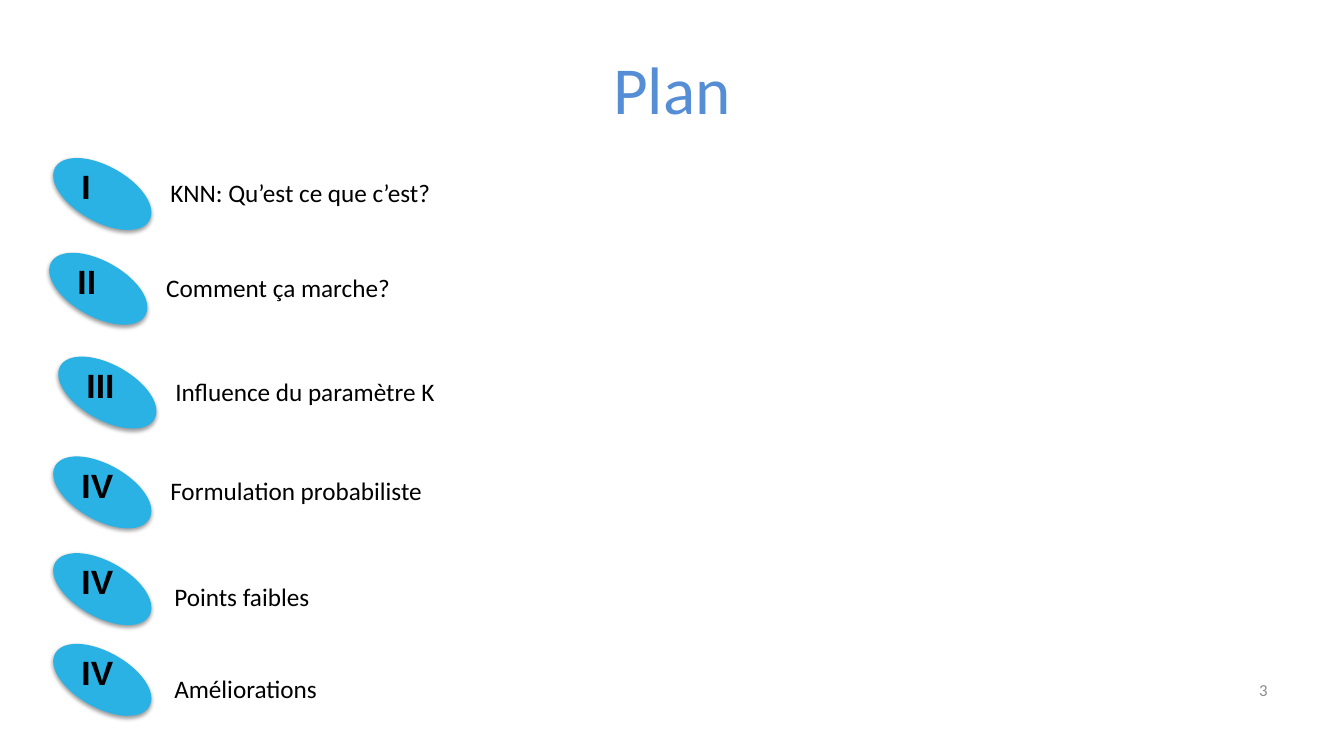
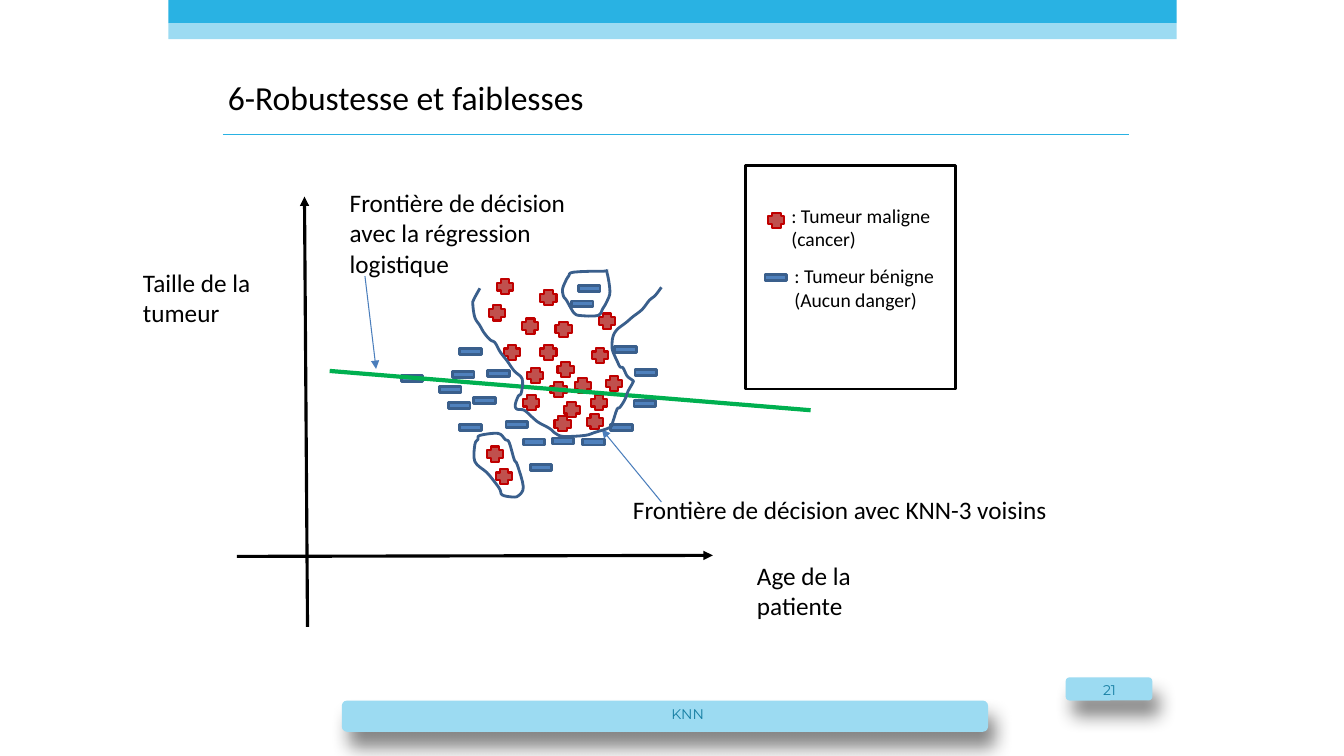
from dataclasses import dataclass

import pptx
import pptx.dml.color
import pptx.enum.shapes
import pptx.enum.text
import pptx.oxml.ns
import pptx.shapes.autoshape
import pptx.shapes.base
import pptx.slide
import pptx.util
from lxml import etree

Inches = pptx.util.Inches
Pt = pptx.util.Pt
Kind = pptx.enum.shapes.MSO_SHAPE
Align = pptx.enum.text.PP_ALIGN
Anchor = pptx.enum.text.MSO_ANCHOR
qn = pptx.oxml.ns.qn
Point = tuple[float, float]
Box = tuple[float, float, float, float]

COLORS = {
    "black": "000000", "sky": "29B2E3", "pale": "9CDBF2", "teal": "157EA3",
    "grey": "8C8C8C", "title": "558ED5", "blue": "4F81BD", "navy": "3A5F8C",
    "arrow": "4B7EBC", "red": "C0504D", "crimson": "C00000", "green": "00B050",
}
FONTS = {
    "body": {"name": "Calibri", "size": Pt(18)},
    "key": {"name": "Calibri", "size": Pt(14)},
    "page": {"name": "Calibri", "size": Pt(12)},
    "plan": {"name": "Calibri", "size": Pt(48)},
    "head": {"name": "Calibri", "size": Pt(24)},
    "badge": {"name": "Arial", "size": Pt(24), "bold": True},
    "foot": {"name": "Montserrat", "size": Pt(10)},
}


@dataclass
class Shade:
    alpha: int
    blur: float
    dist: float
    angle: int


@dataclass
class Item:
    number: str
    label: str
    left: float
    top: float
    shift: Point = (1.09, 0.04)


@dataclass
class Mark:
    kind: Kind
    width: float
    height: float
    fill: str
    edge: str
    weight: float


@dataclass
class Line:
    start: Point
    end: Point
    color: str
    weight: float
    arrow: bool = True


@dataclass
class Label:
    text: str
    box: Box
    font: str = "body"


SOFT = Shade(38, 3.1, 1.6, 90)
DEEP = Shade(48, 13, 12, 67)
BENIGN = Mark(Kind.MATH_MINUS, 0.29, 0.25, "blue", "navy", 2)
MALIGN = Mark(Kind.CROSS, 0.16, 0.15, "red", "crimson", 1.5)

ITEMS = [
    Item("I", "KNN: Qu’est ce que c’est?", 0.5, 1.67),
    Item("II", "Comment ça marche?", 0.46, 2.61),
    Item("III", "Influence du paramètre K", 0.55, 3.64),
    Item("IV", "Formulation probabiliste", 0.5, 4.63),
    Item("IV", "Points faibles", 0.5, 5.59, (1.13, 0.13)),
    Item("IV", "Améliorations", 0.5, 6.49, (1.13, 0.14)),
]
MINUSES = [
    (6.25, 3.88), (4.52, 3.36), (3.94, 3.63), (6.26, 3.57), (4.52, 4.12),
    (4.98, 4.09), (6.06, 3.34), (4.45, 3.59), (7.55, 2.63), (5.44, 4.25),
    (6.02, 4.12), (5.74, 4.26), (4.32, 3.74), (4.41, 3.9), (5.22, 4.51),
    (4.66, 3.85), (5.15, 4.26), (4.8, 3.58), (5.63, 2.89), (5.7, 2.74),
]
PLUSES = [
    (5.36, 3.42), (5.46, 3.79), (5.94, 3.11), (4.85, 3.03), (5.36, 2.88),
    (5.18, 3.16), (7.62, 2.11), (5.51, 3.19), (4.93, 2.77), (5.53, 3.59),
    (5.7, 3.75), (5.23, 3.65), (5.19, 3.92), (5.59, 3.99), (5.87, 3.45),
    (5.86, 3.92), (6.01, 3.73), (5, 3.42), (5.5, 4.13), (5.82, 4.11),
    (4.83, 4.43), (4.92, 4.65),
]
LINES = [
    Line((2.21, 1.33), (11.2, 1.33), "sky", 0.75, False),
    Line((3.05, 6.22), (3.02, 1.95), "black", 2.25),
    Line((2.35, 5.52), (7.07, 5.51), "black", 2.25),
    Line((3.27, 3.68), (8.04, 4.07), "green", 3, False),
    Line((3.62, 2.74), (3.73, 3.66), "arrow", 0.75),
    Line((6.56, 4.98), (5.97, 4.26), "arrow", 0.75),
]
LABELS = [
    Label("Age de la patiente", (7.41, 5.51, 1.56, 0.71)),
    Label("Taille de la tumeur", (1.32, 2.6, 1.56, 0.71)),
    Label(": Tumeur maligne (cancer)", (7.75, 1.97, 1.72, 0.57), "key"),
    Label(": Tumeur bénigne (Aucun danger)", (7.78, 2.57, 1.72, 0.57), "key"),
    Label("Frontière de décision avec la régression logistique",
          (3.37, 1.81, 2.58, 1.01)),
    Label("Frontière de décision avec KNN-3 voisins", (6.18, 4.86, 4.6, 0.4)),
]
BORDER = [
    (4.76, 2.86), (4.7, 2.97), (4.69, 3.02), (4.71, 3.15), (4.76, 3.23),
    (4.8, 3.3), (4.86, 3.37), (4.91, 3.4), (4.96, 3.49), (5.03, 3.58),
    (5.1, 3.68), (5.18, 3.76), (5.17, 3.9), (5.14, 3.93), (5.11, 4.02),
    (5.13, 4.06), (5.2, 4.07), (5.28, 4.14), (5.34, 4.19), (5.45, 4.25),
    (5.51, 4.3), (5.59, 4.33), (5.8, 4.32), (5.9, 4.29), (6.05, 4.24),
    (6.08, 4.18), (6.12, 4.06), (6.15, 4.04), (6.2, 3.96), (6.23, 3.88),
    (6.28, 3.79), (6.27, 3.77), (6.22, 3.73), (6.18, 3.65), (6.15, 3.64),
    (6.12, 3.58), (6.08, 3.49), (6.07, 3.43), (6.08, 3.34), (6.12, 3.27),
    (6.21, 3.2), (6.28, 3.14), (6.37, 3.07), (6.44, 2.98), (6.5, 2.93),
    (6.56, 2.85),
]
LOOPS = [
    [(5.7, 3.11), (5.75, 3.13), (5.93, 3.13), (5.98, 3.06), (6.02, 2.99),
     (6.05, 2.89), (6.02, 2.7), (5.99, 2.69), (5.69, 2.7), (5.64, 2.74),
     (5.61, 2.79), (5.58, 2.87), (5.59, 2.94), (5.62, 2.98), (5.67, 3.07)],
    [(4.98, 4.91), (5.07, 4.93), (5.14, 4.92), (5.19, 4.83), (5.13, 4.61),
     (5.1, 4.56), (5.05, 4.39), (5.01, 4.36), (4.94, 4.3), (4.76, 4.32),
     (4.74, 4.36), (4.71, 4.41), (4.71, 4.58), (4.83, 4.69), (4.92, 4.8),
     (4.96, 4.86)],
]


def tint(name: str) -> pptx.dml.color.RGBColor:
    return pptx.dml.color.RGBColor.from_string(COLORS[name])


def place(shape: pptx.shapes.base.BaseShape, box: Box) -> None:
    for side, size in zip(("left", "top", "width", "height"), box):
        setattr(shape, side, Inches(size))


def write(shape: pptx.shapes.base.BaseShape, text: str, font: str,
          color: str = "black", align: Align = Align.LEFT,
          anchor: Anchor = Anchor.TOP) -> None:
    frame = shape.text_frame
    frame.word_wrap = True
    frame.vertical_anchor = anchor
    para = frame.paragraphs[0]
    para.alignment = align
    run = para.add_run()
    run.text = text
    for key, value in FONTS[font].items():
        setattr(run.font, key, value)
    run.font.color.rgb = tint(color)


def add_text(slide: pptx.slide.Slide, box: Box, text: str, font: str,
             **look) -> None:
    write(slide.shapes.add_textbox(*map(Inches, box)), text, font, **look)


def paint(shape: pptx.shapes.autoshape.Shape, fill: str = "", edge: str = "",
          weight: float = 0) -> None:
    """Set fill and line; an empty name means none."""
    shape.shadow.inherit = False
    if fill:
        shape.fill.solid()
        shape.fill.fore_color.rgb = tint(fill)
    else:
        shape.fill.background()
    if edge:
        shape.line.color.rgb = tint(edge)
        shape.line.width = Pt(weight)
    else:
        shape.line.fill.background()


def add_shape(slide: pptx.slide.Slide, kind: Kind, box: Box, fill: str = "",
              edge: str = "", weight: float = 0) -> pptx.shapes.autoshape.Shape:
    shape = slide.shapes.add_shape(kind, *map(Inches, box))
    paint(shape, fill, edge, weight)
    return shape


def cast(shape: pptx.shapes.autoshape.Shape, shade: Shade) -> None:
    """Give the shape an outer shadow."""
    effect = shape.element.spPr.find(qn("a:effectLst"))
    outer = etree.SubElement(
        effect, qn("a:outerShdw"), blurRad=str(Pt(shade.blur)),
        dist=str(Pt(shade.dist)), dir=str(shade.angle * 60000),
        algn="tl", rotWithShape="0")
    color = etree.SubElement(outer, qn("a:srgbClr"), val=COLORS["black"])
    etree.SubElement(color, qn("a:alpha"), val=str(shade.alpha * 1000))


def add_line(slide: pptx.slide.Slide, line: Line) -> None:
    link = slide.shapes.add_connector(
        pptx.enum.shapes.MSO_CONNECTOR.STRAIGHT,
        *map(Inches, line.start + line.end))
    link.line.color.rgb = tint(line.color)
    link.line.width = Pt(line.weight)
    props = link.element.spPr
    if line.arrow:
        etree.SubElement(props.get_or_add_ln(), qn("a:tailEnd"), type="triangle")
    etree.SubElement(props, qn("a:effectLst"))


def smooth(points: list[Point], close: bool, steps: int = 4) -> list[Point]:
    """Run a Catmull-Rom curve through the points."""
    if close:
        ring = [points[-1], *points, *points[:2]]
    else:
        ring = [points[0], *points, points[-1]]
    curve = [points[0]]
    for a, b, c, d in zip(ring, ring[1:], ring[2:], ring[3:]):
        for step in range(1, steps + 1):
            t = step / steps
            curve.append(tuple(
                (2 * q + (r - p) * t + (2 * p - 5 * q + 4 * r - s) * t ** 2
                 + (3 * q - p - 3 * r + s) * t ** 3) / 2
                for p, q, r, s in zip(a, b, c, d)))
    return curve


def add_curve(slide: pptx.slide.Slide, points: list[Point],
              close: bool) -> None:
    first, *rest = [(Inches(x), Inches(y)) for x, y in smooth(points, close)]
    pen = slide.shapes.build_freeform(*first, scale=1.0)
    pen.add_line_segments(rest, close=close)
    paint(pen.convert_to_shape(), edge="navy", weight=2)


def add_slide(deck, title: str, box: Box, font: str,
              **look) -> pptx.slide.Slide:
    slide = deck.slides.add_slide(deck.slide_layouts[5])
    place(slide.shapes.title, box)
    write(slide.shapes.title, title, font, **look)
    return slide


def add_plan(deck) -> None:
    slide = add_slide(deck, "Plan", (3.38, 0.42, 6.57, 0.91), "plan",
                      color="title", align=Align.CENTER)
    add_text(slide, (9.56, 6.64, 3.11, 0.4), "3", "page", color="grey",
             align=Align.RIGHT, anchor=Anchor.MIDDLE)
    for item in ITEMS:
        x, y = item.left, item.top
        badge = add_shape(slide, Kind.OVAL, (x, y, 1.03, 0.51), "sky", "sky", 3)
        badge.rotation = 29.3
        cast(badge, SOFT)
        add_text(slide, (x + 0.21, y - 0.07, 0.7, 0.5), item.number, "badge")
        dx, dy = item.shift
        add_text(slide, (x + dx, y + dy, 5.75, 0.4), item.label, "body")


def add_frame(slide: pptx.slide.Slide) -> None:
    """Draw the top bands, the footer and the page number."""
    for top, height, fill in ((0, 0.23, "sky"), (0.23, 0.16, "pale")):
        add_shape(slide, Kind.RECTANGLE, (1.67, top, 10, height), fill)
    for box in ((10.57, 6.72, 0.86, 0.23), (3.39, 6.95, 6.41, 0.31)):
        cast(add_shape(slide, Kind.ROUNDED_RECTANGLE, box, "pale"), DEEP)
    look = {"color": "teal", "align": Align.CENTER}
    add_text(slide, (10.62, 6.64, 0.77, 0.4), "21", "foot",
             anchor=Anchor.MIDDLE, **look)
    add_text(slide, (3.85, 6.95, 5.94, 0.27), "KNN", "foot", **look)


def add_chart(deck) -> None:
    slide = add_slide(deck, "6-Robustesse et faiblesses",
                      (2.16, 0.34, 9, 1.25), "head", anchor=Anchor.MIDDLE)
    add_frame(slide)
    add_shape(slide, Kind.RECTANGLE, (7.39, 1.64, 2.09, 2.22),
              edge="black", weight=2)
    for mark, spots in ((BENIGN, MINUSES), (MALIGN, PLUSES)):
        for spot in spots:
            add_shape(slide, mark.kind, (*spot, mark.width, mark.height),
                      mark.fill, mark.edge, mark.weight)
    for line in LINES:
        add_line(slide, line)
    add_curve(slide, BORDER, False)
    for loop in LOOPS:
        add_curve(slide, loop, True)
    for label in LABELS:
        add_text(slide, label.box, label.text, label.font)


def main() -> None:
    deck = pptx.Presentation()
    deck.slide_width, deck.slide_height = Inches(13.33), Inches(7.5)
    add_plan(deck)
    add_chart(deck)
    deck.save("out.pptx")


if __name__ == "__main__":
    main()
